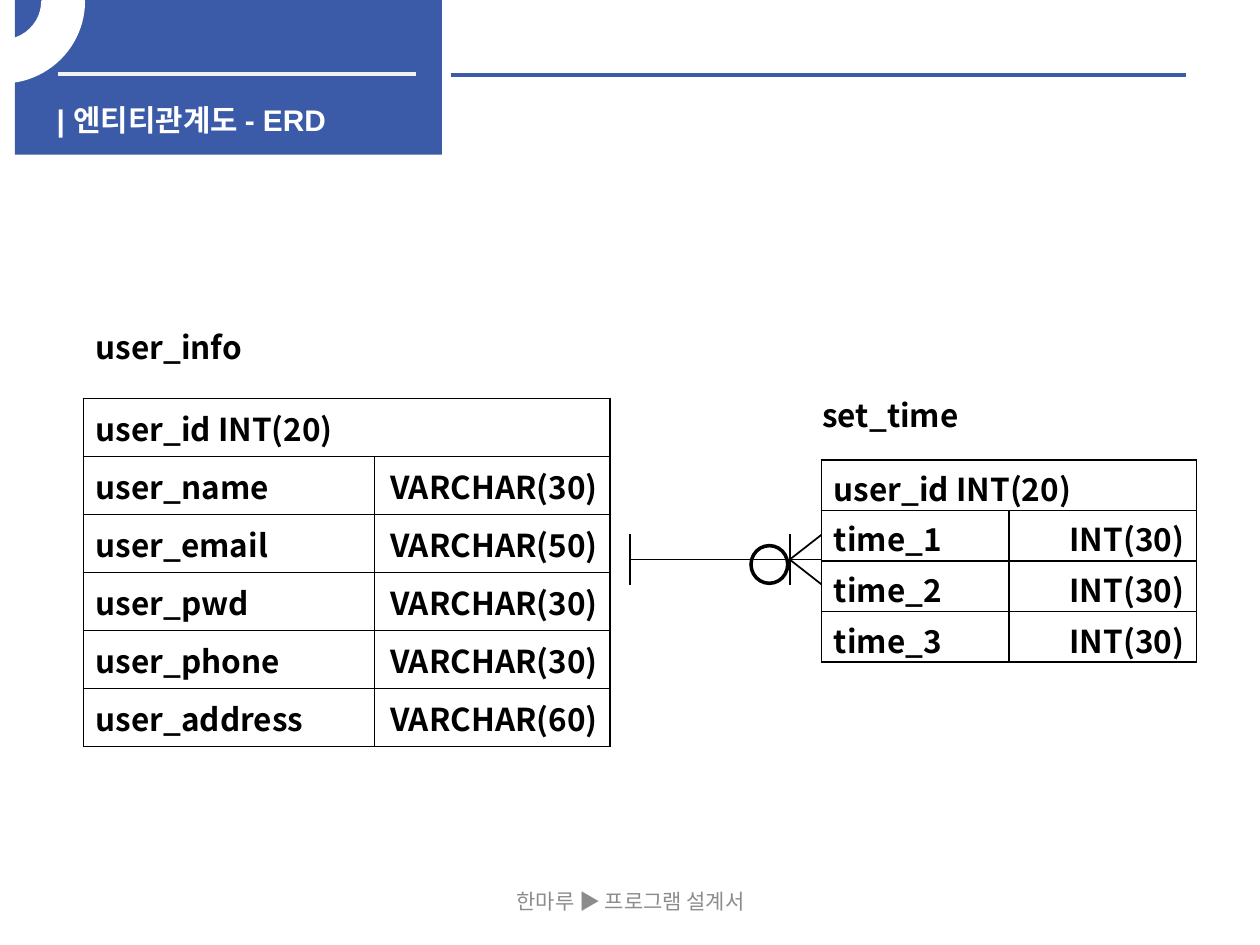
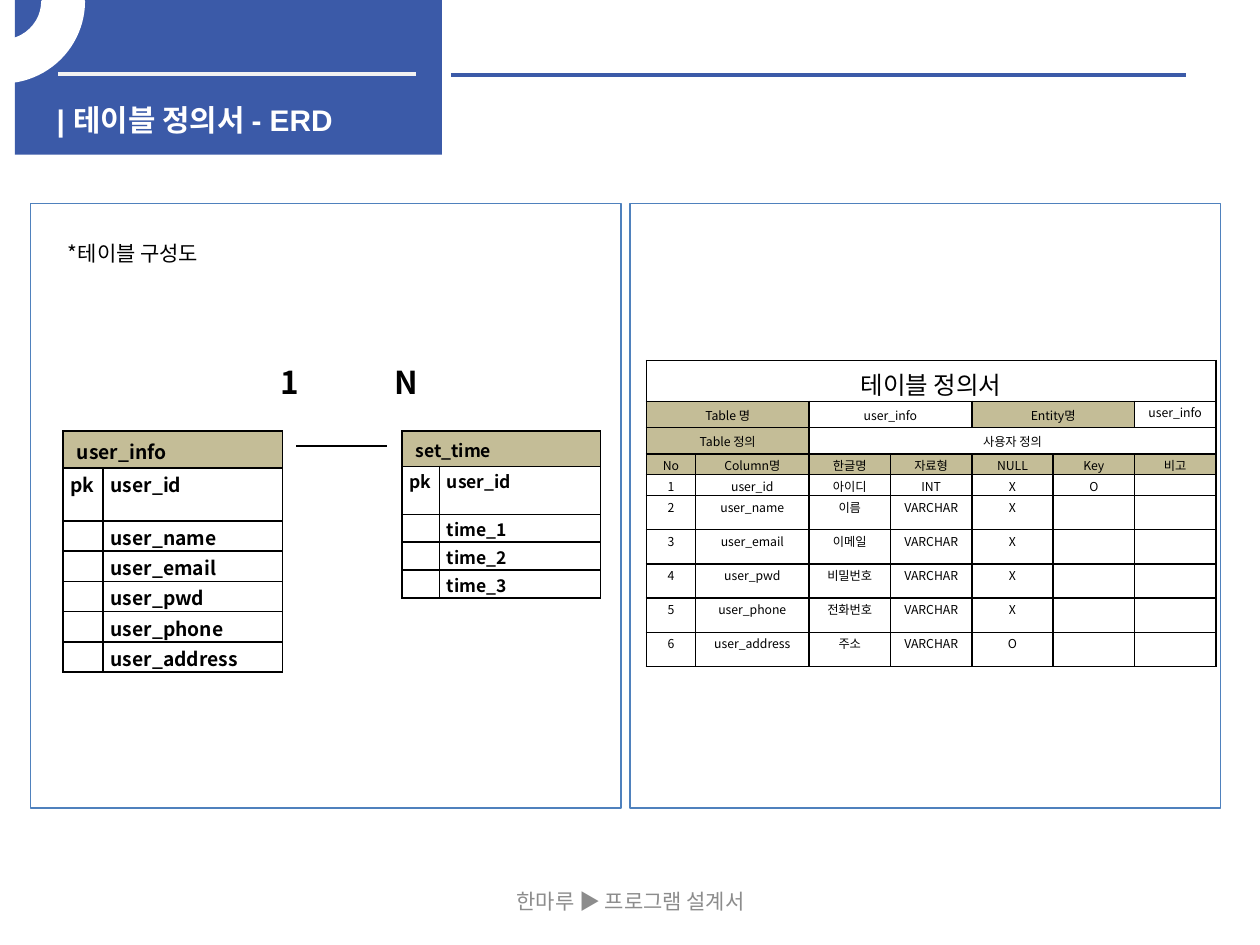
from dataclasses import dataclass
from typing import Any

from lxml import etree
from pptx import Presentation
from pptx.dml.color import RGBColor
from pptx.enum.shapes import MSO_CONNECTOR, MSO_SHAPE
from pptx.enum.text import MSO_ANCHOR, MSO_AUTO_SIZE, PP_ALIGN
from pptx.oxml.ns import qn
from pptx.util import Cm, Pt

STRAIGHT = MSO_CONNECTOR.STRAIGHT
RECTANGLE, OVAL, BLOCK_ARC = MSO_SHAPE.RECTANGLE, MSO_SHAPE.OVAL, MSO_SHAPE.BLOCK_ARC
LEFT, CENTER, RIGHT = PP_ALIGN.LEFT, PP_ALIGN.CENTER, PP_ALIGN.RIGHT
TOP, MIDDLE = MSO_ANCHOR.TOP, MSO_ANCHOR.MIDDLE
FIXED_SIZE = MSO_AUTO_SIZE.NONE

COLORS = {
    "band": "3B5AA8",
    "band_rule": "F2F2F2",
    "white": "FFFFFF",
    "black": "000000",
    "footer": "8C8C8C",
    "panel": "4F81BD",
    "header": "C4BD97",
}
KOREAN, LATIN = "Noto Sans CJK KR", "Arial"
TITLE_ONLY = 5
FOOTER = "한마루 ▶ 프로그램 설계서"


@dataclass(frozen=True)
class Box:
    left: float
    top: float
    width: float
    height: float

    def lengths(self) -> tuple:
        return Cm(self.left), Cm(self.top), Cm(self.width), Cm(self.height)


@dataclass(frozen=True)
class Style:
    size: float
    bold: bool = False
    color: str = "black"
    font: str = KOREAN
    align: Any = LEFT


@dataclass(frozen=True)
class Rule:
    x1: float
    y1: float
    x2: float
    y2: float
    color: str = "black"
    weight: float = 1


@dataclass(frozen=True)
class Inset:
    side: float
    top: float
    bottom: float = 0


@dataclass(frozen=True)
class Cell:
    text: str
    style: Style
    inset: Inset
    span: int = 1
    fill: str = ""


@dataclass(frozen=True)
class Grid:
    left: float
    top: float
    columns: list[float]
    heights: list[float]
    rows: list[list[Cell]]


def rgb(name: str) -> RGBColor:
    return RGBColor.from_string(COLORS[name])


def apply(target: Any, values: dict[str, Any]) -> None:
    for attribute, value in values.items():
        setattr(target, attribute, value)


def write(frame: Any, text: str, style: Style) -> None:
    paragraph = frame.paragraphs[0]
    paragraph.alignment = style.align
    if not text:
        paragraph._p.get_or_add_endParaRPr().set("sz", str(int(style.size * 100)))
        return
    run = paragraph.add_run()
    run.text = text
    apply(run.font, {"size": Pt(style.size), "bold": style.bold, "name": style.font})
    run.font.color.rgb = rgb(style.color)
    etree.SubElement(run._r.get_or_add_rPr(), qn("a:ea")).set("typeface", KOREAN)


def add_label(slide: Any, text: str, box: Box, style: Style, anchor: Any = TOP, wrap: bool = True) -> None:
    frame = slide.shapes.add_textbox(*box.lengths()).text_frame
    apply(frame, {"word_wrap": wrap, "vertical_anchor": anchor})
    write(frame, text, style)


def add_rule(slide: Any, rule: Rule) -> None:
    line = slide.shapes.add_connector(STRAIGHT, Cm(rule.x1), Cm(rule.y1), Cm(rule.x2), Cm(rule.y2))
    line.line.color.rgb = rgb(rule.color)
    line.line.width = Pt(rule.weight)
    etree.SubElement(line._element.spPr, qn("a:effectLst"))


def add_figure(slide: Any, kind: Any, box: Box, fill: str = "", outline: str = "", weight: float = 1) -> Any:
    figure = slide.shapes.add_shape(kind, *box.lengths())
    figure.shadow.inherit = False
    if fill:
        figure.fill.solid()
        figure.fill.fore_color.rgb = rgb(fill)
    else:
        figure.fill.background()
    if outline:
        figure.line.color.rgb = rgb(outline)
        figure.line.width = Pt(weight)
    else:
        figure.line.fill.background()
    return figure


def border_cell(cell: Any) -> None:
    properties = cell._tc.get_or_add_tcPr()
    for side in ("L", "R", "T", "B"):
        edge = etree.SubElement(properties, qn(f"a:ln{side}"), w=str(Pt(1)))
        color = etree.SubElement(etree.SubElement(edge, qn("a:solidFill")), qn("a:srgbClr"))
        color.set("val", COLORS["black"])


def format_cell(cell: Any, content: Cell, text: str) -> None:
    border_cell(cell)
    apply(cell, {
        "margin_left": Cm(content.inset.side),
        "margin_right": Cm(content.inset.side),
        "margin_top": Cm(content.inset.top),
        "margin_bottom": Cm(content.inset.bottom),
        "vertical_anchor": TOP,
    })
    if content.fill:
        cell.fill.solid()
        cell.fill.fore_color.rgb = rgb(content.fill)
    else:
        cell.fill.background()
    write(cell.text_frame, text, content.style)


def add_grid(slide: Any, grid: Grid) -> None:
    box = Box(grid.left, grid.top, sum(grid.columns), sum(grid.heights))
    table = slide.shapes.add_table(len(grid.rows), len(grid.columns), *box.lengths()).table
    apply(table, {"first_row": False, "horz_banding": False})
    for column, width in zip(table.columns, grid.columns):
        column.width = Cm(width)
    for row, height in zip(table.rows, grid.heights):
        row.height = Cm(height)
    for r, contents in enumerate(grid.rows):
        c = 0
        for content in contents:
            for offset in range(content.span):
                format_cell(table.cell(r, c + offset), content, "" if offset else content.text)
            if content.span > 1:
                table.cell(r, c).merge(table.cell(r, c + content.span - 1))
            c += content.span


def start_slide(deck: Any, heading: str) -> Any:
    slide = deck.slides.add_slide(deck.slide_layouts[TITLE_ONLY])
    add_figure(slide, RECTANGLE, Box(0.3, 0, 8.61, 3.12), "band")
    add_rule(slide, Rule(1.17, 1.5, 8.38, 1.5, "band_rule", 2.25))
    add_rule(slide, Rule(9.09, 1.52, 23.9, 1.52, "band", 2.25))
    title = slide.shapes.title
    left, top, width, height = Box(0.89, 1.93, 8, 0.81).lengths()
    apply(title, {"left": left, "top": top, "width": width, "height": height})
    apply(title.text_frame, {"auto_size": FIXED_SIZE, "vertical_anchor": TOP, "word_wrap": True})
    write(title.text_frame, heading, Style(17, True, "white", LATIN))
    slide.shapes._spTree.append(title._element)
    arc = add_figure(slide, BLOCK_ARC, Box(-1.6, -1.6, 3.28, 3.25), "white", "white", 2)
    for index, value in enumerate((96.95, 0, 0.25)):
        arc.adjustments[index] = value
    arc._element.spPr.find(qn("a:xfrm")).set("flipV", "1")
    add_label(slide, FOOTER, Box(8.69, 17.65, 8.05, 1.02), Style(12, color="footer", align=CENTER), MIDDLE)
    return slide


def entity_grid(left: float, top: float, columns: list[float], height: float,
                inset: Inset, fields: list[tuple[str, str]]) -> Grid:
    name, kind = Style(18, True), Style(18, True, align=RIGHT)
    rows = [[Cell("user_id INT(20)", name, inset, span=2)]]
    rows += [[Cell(field, name, inset), Cell(type_, kind, inset)] for field, type_ in fields]
    return Grid(left, top, columns, [height] * len(rows), rows)


def key_grid(left: float, columns: list[float], heights: tuple[float, float, float],
             size: float, entity: str, fields: list[str]) -> Grid:
    style, inset = Style(size, True), Inset(0.15, 0.04)
    rows = [[Cell(entity, style, Inset(0.28, 0.13), 2, "header")]]
    keys = [("pk", "user_id")] + [("", field) for field in fields]
    rows += [[Cell(text, style, inset) for text in pair] for pair in keys]
    header, key, field_height = heights
    return Grid(left, 8.69, columns, [header, key] + [field_height] * len(fields), rows)


def definition_grid() -> Grid:
    heading, small = Style(14, align=CENTER), Style(7, align=CENTER)
    roomy, tight = Inset(0.23, 0.1), Inset(0.1, 0.05)
    rows = [
        [Cell("테이블 정의서", heading, roomy, 7)],
        [
            Cell("Table 명", small, roomy, 2, "header"),
            Cell("user_info", small, roomy, 2),
            Cell("Entity명", small, roomy, 2, "header"),
            Cell("user_info", small, tight),
        ],
        [Cell("Table 정의", small, roomy, 2, "header"), Cell("사용자 정의", small, roomy, 5)],
        [Cell(text, small, tight, fill="header")
         for text in ("No", "Column명", "한글명", "자료형", "NULL", "Key", "비고")],
    ]
    columns = [
        ("user_id", "아이디", "INT", "X", "O"),
        ("user_name", "이름", "VARCHAR", "X", ""),
        ("user_email", "이메일", "VARCHAR", "X", ""),
        ("user_pwd", "비밀번호", "VARCHAR", "X", ""),
        ("user_phone", "전화번호", "VARCHAR", "X", ""),
        ("user_address", "주소", "VARCHAR", "O", ""),
    ]
    rows += [[Cell(text, small, tight) for text in (str(number), *column, "")]
             for number, column in enumerate(columns, 1)]
    heights = [0.82, 0.53, 0.53, 0.42, 0.42] + [0.69] * 5
    return Grid(13.03, 7.27, [0.99, 2.29] + [1.64] * 5, heights, rows)


def build_relationship_slide(deck: Any) -> None:
    slide = start_slide(deck, "| 엔티티관계도 - ERD")
    user_fields = [
        ("user_name", "VARCHAR(30)"),
        ("user_email", "VARCHAR(50)"),
        ("user_pwd", "VARCHAR(30)"),
        ("user_phone", "VARCHAR(30)"),
        ("user_address", "VARCHAR(60)"),
    ]
    time_fields = [(f"time_{number}", "INT(30)") for number in range(1, 4)]
    add_grid(slide, entity_grid(1.68, 8.03, [5.87, 4.75], 1.17, Inset(0.25, 0.13, 0.12), user_fields))
    add_grid(slide, entity_grid(16.56, 9.27, [3.78, 3.78], 1.02, Inset(0.25, 0.1), time_fields))
    for entity, left, top in (("user_info", 1.68, 6.48), ("set_time", 16.33, 7.85)):
        add_label(slide, entity, Box(left, top, 4.75, 1.02), Style(18, True))
    one, many, end, axis = 12.7, 15.92, 16.56, 11.28
    add_rule(slide, Rule(one, axis, end, axis))
    for bar in (one, many):
        add_rule(slide, Rule(bar, axis - 0.52, bar, axis + 0.52))
    add_figure(slide, OVAL, Box(15.14, 11, 0.74, 0.76), outline="black", weight=2)
    for spread in (-0.5, 0.5):
        add_rule(slide, Rule(many, axis, end, axis + spread))


def build_definition_slide(deck: Any) -> None:
    slide = start_slide(deck, "| 테이블 정의서 - ERD")
    for left in (0.61, 12.7):
        add_figure(slide, RECTANGLE, Box(left, 4.1, 11.91, 12.19), outline="panel", weight=0.75)
    add_label(slide, "*테이블 구성도", Box(1.12, 4.72, 4.19, 0.76), Style(12), wrap=False)
    user_fields = [f"user_{part}" for part in ("name", "email", "pwd", "phone", "address")]
    time_fields = [f"time_{number}" for number in range(1, 4)]
    add_grid(slide, key_grid(1.27, [0.81, 3.61], (0.74, 1.07, 0.61), 11, "user_info", user_fields))
    add_grid(slide, key_grid(8.1, [0.76, 3.25], (0.71, 0.97, 0.56), 10, "set_time", time_fields))
    add_rule(slide, Rule(5.97, 8.99, 7.8, 8.99))
    for cardinality, left in (("1", 5.41), ("N", 7.7)):
        add_label(slide, cardinality, Box(left, 7.2, 0.9, 1), Style(18, True), wrap=False)
    add_grid(slide, definition_grid())


def main() -> None:
    deck = Presentation()
    apply(deck, {"slide_width": Cm(25.4), "slide_height": Cm(19.05)})
    build_relationship_slide(deck)
    build_definition_slide(deck)
    deck.save("out.pptx")


if __name__ == "__main__":
    main()
